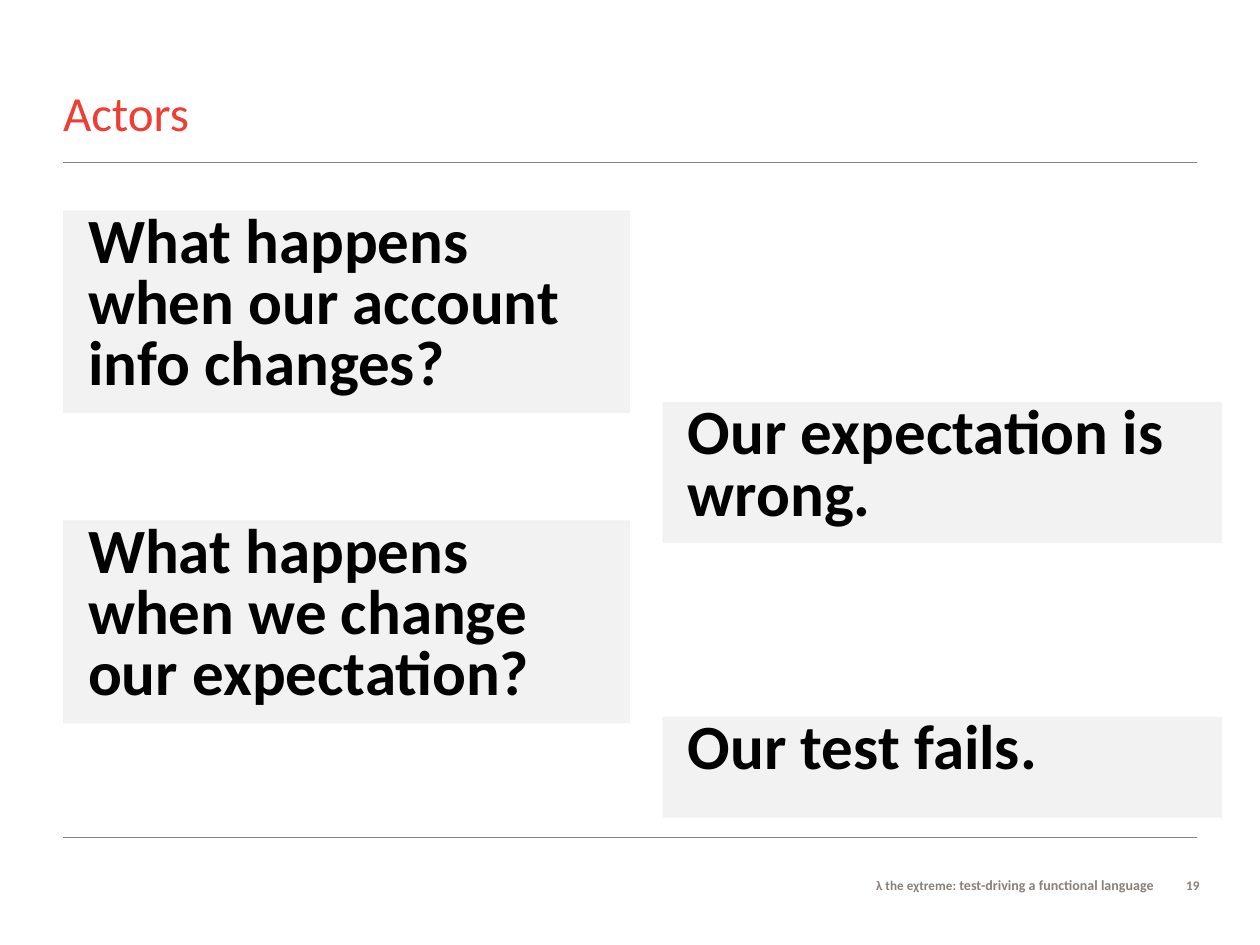
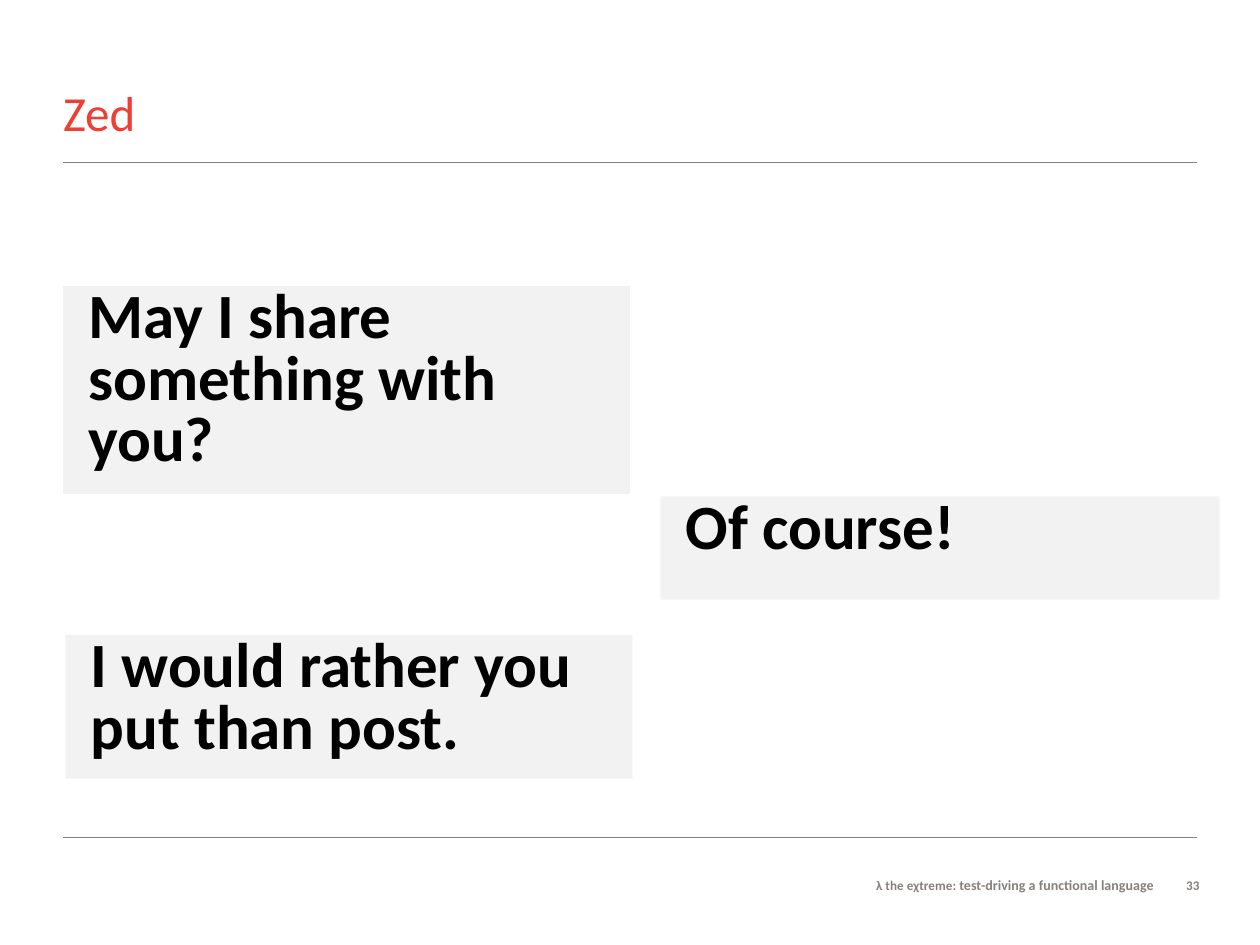
from pptx import Presentation
from pptx.dml.color import RGBColor
from pptx.enum.shapes import MSO_CONNECTOR
from pptx.enum.text import MSO_ANCHOR, MSO_AUTO_SIZE, PP_ALIGN
from pptx.oxml.ns import qn
from pptx.util import Inches, Pt
from lxml import etree

LINE = MSO_CONNECTOR.STRAIGHT
TOP, BOTTOM = MSO_ANCHOR.TOP, MSO_ANCHOR.BOTTOM
LEFT, RIGHT = PP_ALIGN.LEFT, PP_ALIGN.RIGHT
NO_FIT = MSO_AUTO_SIZE.NONE
TWO_CONTENT = 3

COLORS = {"title": "EF3E33", "gray": "88807A", "panel": "F2F2F2", "text": "000000"}
FONT = "Calibri"
MARGIN, WIDTH = 0.5, 9
RULES = (1.29, 6.65)
TITLE_BOX = (MARGIN, 0.24, 8.3, 0.88)
FOOTER_BOX = (5.99, 6.96, 3.17, 0.18)
NUMBER_BOX = (9.21, 6.96, 0.31, 0.18)
QUESTION_W, ANSWER_W = 4.5, 4.44
FOOTER = [("λ the eχtreme: ", 7.5), ("test-driving a functional language", 8)]

TITLE_PARA = {"alignment": LEFT, "line_spacing": Pt(30), "space_before": Pt(0)}
SPEECH_PARA = {"alignment": LEFT, "line_spacing": Pt(23),
               "space_before": Pt(6), "space_after": Pt(6)}

SLIDES = [
    {"title": "Actors", "number": "19", "speech": [
        ((0.5, 1.67, QUESTION_W, 1.61),
         ["What happens", "when our account", "info changes?"]),
        ((5.26, 3.19, ANSWER_W, 1.12), ["Our expectation is", "wrong."]),
        ((0.5, 4.13, QUESTION_W, 1.61),
         ["What happens", "when we change", "our expectation?"]),
        ((5.26, 5.69, ANSWER_W, 0.8), ["Our test fails."])]},
    {"title": "Zed", "number": "33", "speech": [
        ((0.5, 2.27, QUESTION_W, 1.65),
         ["May I share", "something with", "you?"]),
        ((5.24, 3.94, ANSWER_W, 0.82), ["Of course!"]),
        ((0.52, 5.04, QUESTION_W, 1.14), ["I would rather you", "put than post."])]},
]


def set_attrs(target, values):
    """Set each named attribute of an object."""
    for name, value in values.items():
        setattr(target, name, value)


def place(sp, box):
    """Move and size a shape to a box in inches."""
    set_attrs(sp, dict(zip(("left", "top", "width", "height"), map(Inches, box))))


def frame(sp, insets=(0, 0, 0, 0), anchor=TOP):
    """Prepare the text frame of a shape and return it."""
    tf = sp.text_frame
    sides = ("margin_left", "margin_top", "margin_right", "margin_bottom")
    set_attrs(tf, dict(zip(sides, map(Inches, insets))))
    set_attrs(tf, {"word_wrap": True, "auto_size": NO_FIT, "vertical_anchor": anchor})
    return tf


def add_run(p, text, size, color, bold=True):
    """Append a formatted run to a paragraph."""
    r = p.add_run()
    r.text = text
    set_attrs(r.font, {"name": FONT, "size": Pt(size), "bold": bold})
    r.font.color.rgb = RGBColor.from_string(COLORS[color])


def add_rule(s, top):
    """Draw a thin gray line across the content width."""
    ends = map(Inches, (MARGIN, top, MARGIN + WIDTH, top))
    line = s.shapes.add_connector(LINE, *ends)
    line.line.width = Pt(0.5)
    line.line.color.rgb = RGBColor.from_string(COLORS["gray"])
    etree.SubElement(line._element.spPr, qn("a:effectLst"))


def fill_title(sp, text, box):
    """Write the slide title."""
    place(sp, box)
    p = frame(sp, anchor=BOTTOM).paragraphs[0]
    set_attrs(p, TITLE_PARA)
    add_run(p, text, 28, "title", bold=False)


def add_small_print(s, box, runs):
    """Add right-aligned footer text."""
    sp = s.shapes.add_textbox(*map(Inches, box))
    p = frame(sp).paragraphs[0]
    p.alignment = RIGHT
    for text, size in runs:
        add_run(p, text, size, "gray")


def fill_speech(sp, box, lines):
    """Turn a shape into a gray panel with bold lines of speech."""
    place(sp, box)
    sp.fill.solid()
    sp.fill.fore_color.rgb = RGBColor.from_string(COLORS["panel"])
    tf = frame(sp, (0.2, 0.2, 0.1, 0.2))
    for i, text in enumerate(lines):
        p = tf.add_paragraph() if i else tf.paragraphs[0]
        set_attrs(p, SPEECH_PARA)
        pPr = p._p.get_or_add_pPr()
        pPr.set("marL", "0")
        pPr.set("indent", "0")
        etree.SubElement(pPr, qn("a:buNone"))
        add_run(p, text, 36, "text")


def add_dialogue(prs, title, number, speech):
    """Add a slide with questions on the left and answers on the right."""
    s = prs.slides.add_slide(prs.slide_layouts[TWO_CONTENT])
    for top in RULES:
        add_rule(s, top)
    fill_title(s.shapes.title, title, TITLE_BOX)
    add_small_print(s, NUMBER_BOX, [(number, 7.5)])
    add_small_print(s, FOOTER_BOX, FOOTER)
    bodies = [s.placeholders[1], s.placeholders[2]]
    for box, lines in speech:
        sp = bodies.pop(0) if bodies else s.shapes.add_textbox(*map(Inches, box))
        fill_speech(sp, box, lines)


def main():
    """Build the presentation."""
    prs = Presentation()
    prs.slide_width, prs.slide_height = Inches(10), Inches(7.5)
    for content in SLIDES:
        add_dialogue(prs, **content)
    prs.save("out.pptx")


if __name__ == "__main__":
    main()
